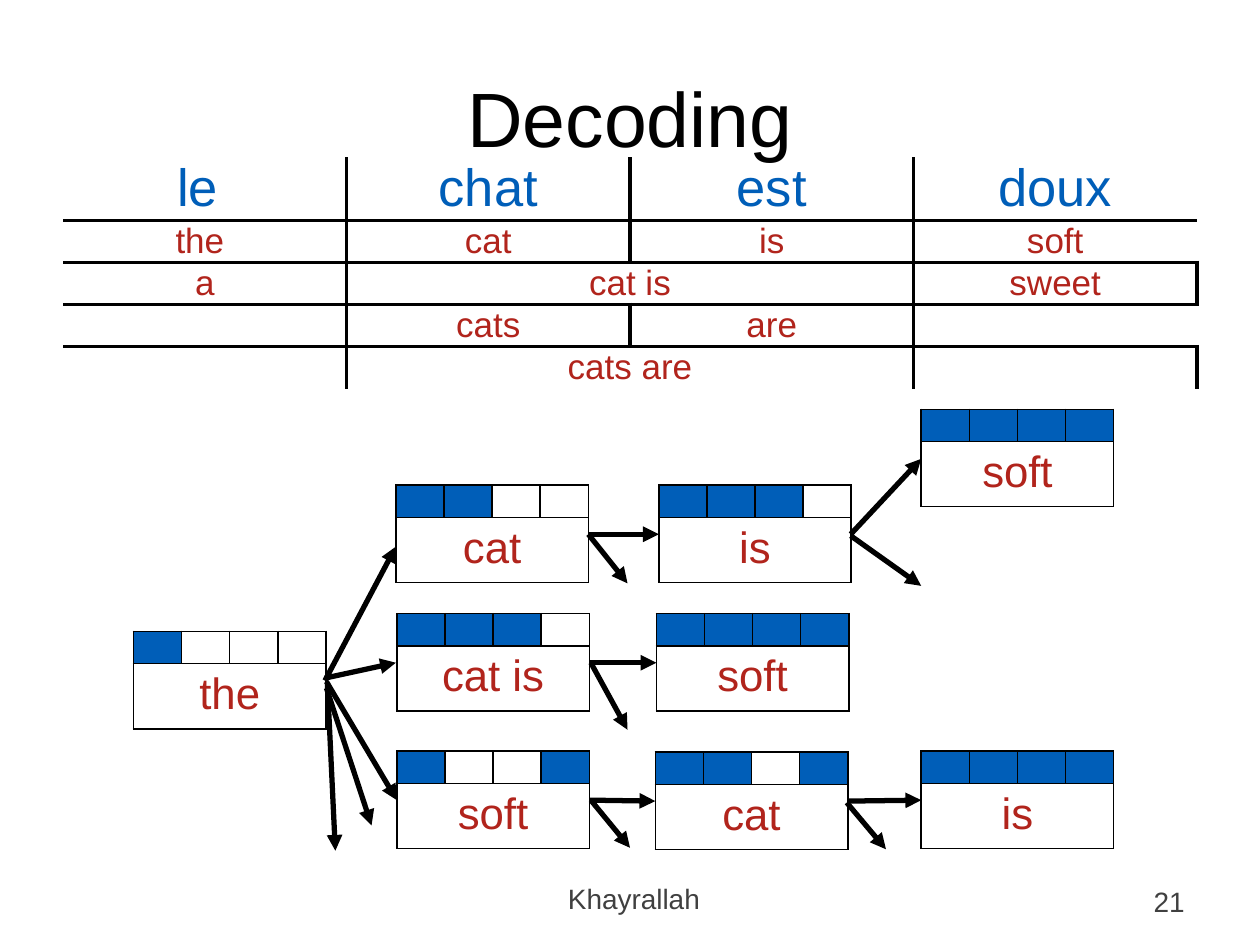
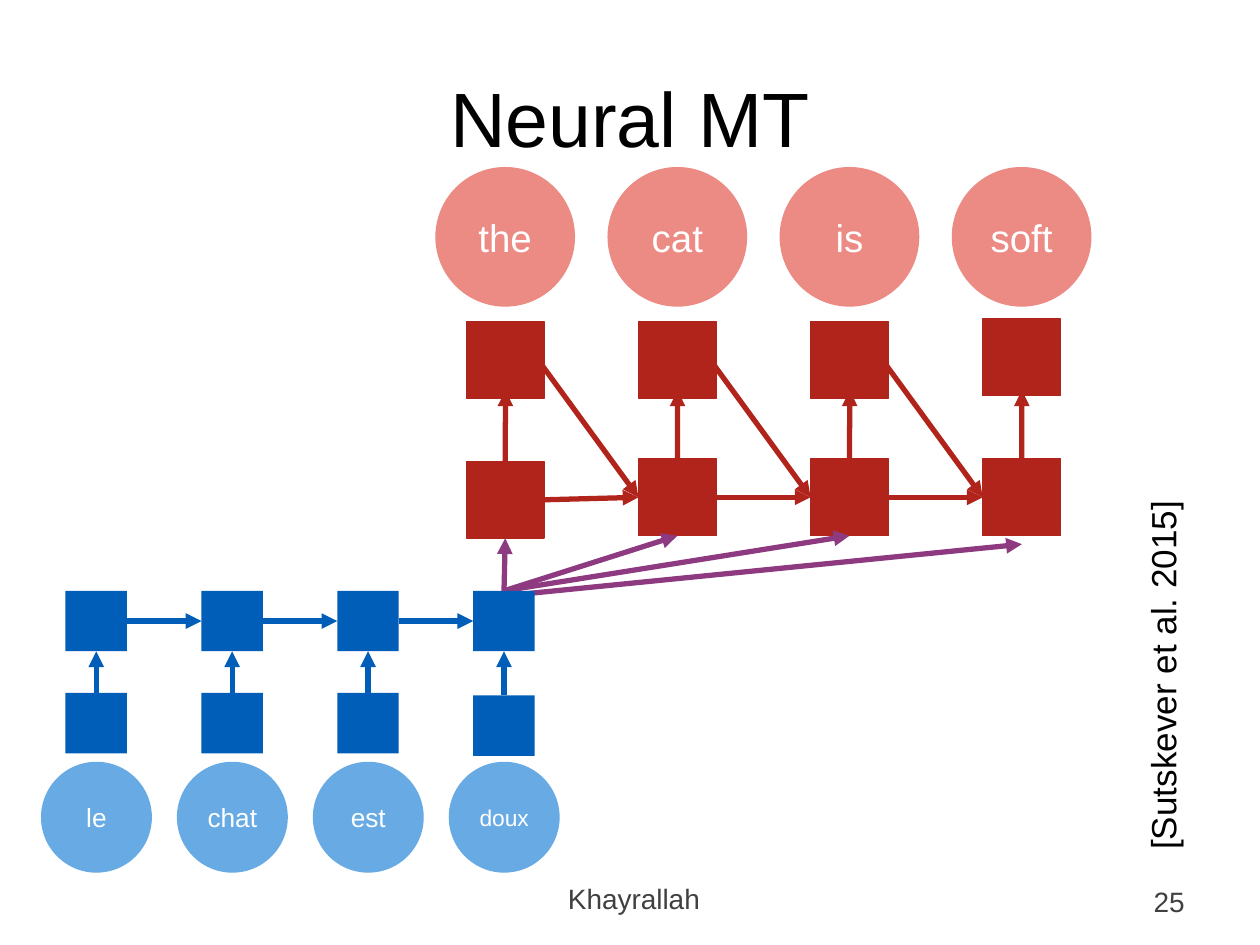
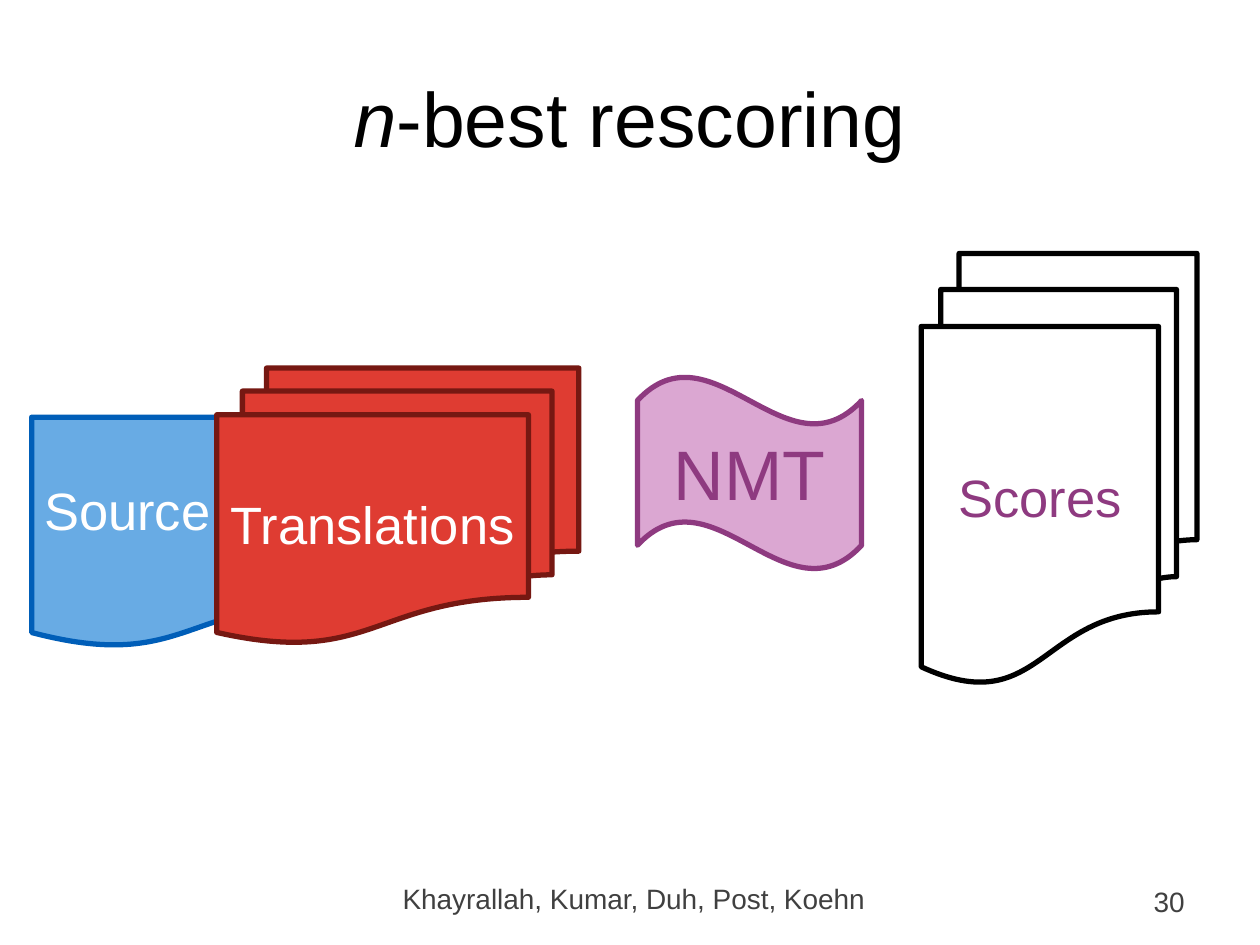
import lxml.etree
import pptx
import pptx.dml.color
import pptx.enum.shapes
import pptx.enum.text
import pptx.oxml.ns
import pptx.util

Cm = pptx.util.Cm
Pt = pptx.util.Pt
RGB = pptx.dml.color.RGBColor.from_string
SHAPE = pptx.enum.shapes.MSO_SHAPE
ALIGN = pptx.enum.text.PP_ALIGN
ANCHOR = pptx.enum.text.MSO_ANCHOR
qn = pptx.oxml.ns.qn

FONT = "Arial"
NO_GRID_STYLE = "{2D5ABB26-0587-4C30-8999-92F81FD0307C}"
COLORS = {
    "black": "000000",
    "white": "FFFFFF",
    "footer": "404040",
    "blue": "005EB8",
    "light blue": "68ABE4",
    "red": "B1241C",
    "light red": "EC8A84",
    "bright red": "DF3C32",
    "dark red": "761812",
    "purple": "8E3A80",
    "light purple": "DBA7D2",
}


def write_text(frame, text, size, color, align=ALIGN.CENTER, italic_lead=""):
    """Fill the frame with one paragraph, optionally opened by an italic run."""
    frame.word_wrap = True
    paragraph = frame.paragraphs[0]
    paragraph.text = italic_lead or text
    paragraph.alignment = align
    if italic_lead:
        paragraph.runs[0].font.italic = True
        paragraph.add_run().text = text
    for run in paragraph.runs:
        run.font.name = FONT
        run.font.size = Pt(size)
        run.font.color.rgb = RGB(COLORS[color])


def add_arrow(slide, color, start=(0, 0), end=(0, 0)):
    """Draw a straight arrow between two points given in centimetres."""
    arrow = slide.shapes.add_connector(
        pptx.enum.shapes.MSO_CONNECTOR.STRAIGHT, *map(Cm, start + end))
    arrow.line.color.rgb = RGB(COLORS[color])
    arrow.line.width = Pt(3)
    lxml.etree.SubElement(arrow.line._get_or_add_ln(), qn("a:tailEnd"), type="triangle")
    lxml.etree.SubElement(arrow._element.spPr, qn("a:effectLst"))
    return arrow


deck = pptx.Presentation()
deck.slide_width = Cm(25.4)
deck.slide_height = Cm(19.05)

# Titles, footers and slide numbers
for italic_lead, title, authors, number in [
    ("", "Decoding", "Khayrallah", "21"),
    ("", "Neural MT", "Khayrallah", "25"),
    ("n", "-best rescoring", "Khayrallah, Kumar, Duh, Post, Koehn", "30"),
]:
    slide = deck.slides.add_slide(deck.slide_layouts[6])
    heading = slide.shapes.add_textbox(Cm(1.27), Cm(0.76), Cm(22.86), Cm(3.18)).text_frame
    heading.vertical_anchor = ANCHOR.MIDDLE
    write_text(heading, title, 44, "black", italic_lead=italic_lead)
    footer = slide.shapes.add_textbox(Cm(7.14), Cm(17.65), Cm(11.28), Cm(1.02)).text_frame
    write_text(footer, authors, 16, "footer")
    page = slide.shapes.add_textbox(Cm(18.21), Cm(17.65), Cm(5.92), Cm(1.02)).text_frame
    page.vertical_anchor = ANCHOR.MIDDLE
    write_text(page, number, 16, "footer", ALIGN.RIGHT)

decoding, neural, rescoring = deck.slides

# Decoding: phrase options for each source word
phrase_options = [
    ["le ", "chat", "est", "doux"],
    ["the ", "cat", "is", "soft"],
    ["a", "cat is", "", "sweet"],
    ["", "cats", "are", ""],
    ["", "cats are", "", ""],
]
tables = []
borders = []
options = decoding.shapes.add_table(5, 4, Cm(1.27), Cm(3.17), Cm(22.86), Cm(3.8)).table
tables.append(options)
for row in (2, 4):
    options.cell(row, 1).merge(options.cell(row, 2))
for row, phrases in enumerate(phrase_options):
    options.rows[row].height = Cm(0.76)
    for column, phrase in enumerate(phrases):
        cell = options.cell(row, column)
        cell.margin_left = cell.margin_right = cell.margin_top = cell.margin_bottom = 0
        cell.vertical_anchor = ANCHOR.MIDDLE
        cell.fill.background()
        if phrase:
            write_text(cell.text_frame, phrase, *((20, "red") if row else (30, "blue")))
        outer_end = column in (0, 3)
        edges = ""
        if column > 0 and not cell.is_spanned:
            edges += "L"
        if column < 3:
            edges += "R"
        if row > 0 and not (outer_end and row == 4):
            edges += "T"
        if row < 4 and not (outer_end and row == 3):
            edges += "B"
        borders.append((cell, edges, 2.25))

# Decoding: hypotheses with the source words they cover
for left, top, phrase, coverage in [
    (2.69, 12.73, "the", "1000"),
    (7.98, 9.78, "cat", "1100"),
    (13.28, 9.78, "is", "1110"),
    (18.57, 8.25, "soft", "1111"),
    (8, 12.37, "cat is", "1110"),
    (13.23, 12.37, "soft", "1111"),
    (8, 15.14, "soft", "1001"),
    (13.21, 15.16, "cat", "1101"),
    (18.57, 15.14, "is", "1111"),
]:
    hypothesis = decoding.shapes.add_table(
        2, 4, Cm(left), Cm(top), Cm(3.88), Cm(1.9)).table
    tables.append(hypothesis)
    hypothesis.rows[0].height = Cm(0.65)
    hypothesis.rows[1].height = Cm(1.25)
    hypothesis.cell(1, 0).merge(hypothesis.cell(1, 3))
    for column, covered in enumerate(coverage):
        word_slot = hypothesis.cell(0, column)
        word_slot.margin_top = word_slot.margin_bottom = 0
        lxml.etree.SubElement(
            word_slot.text_frame.paragraphs[0]._p, qn("a:endParaRPr"), sz="800")
        if covered == "1":
            word_slot.fill.solid()
            word_slot.fill.fore_color.rgb = RGB(COLORS["blue"])
        else:
            word_slot.fill.background()
        borders.append((word_slot, "LRTB", 1))
    output = hypothesis.cell(1, 0)
    output.fill.background()
    write_text(output.text_frame, phrase, 25, "red")
    borders.append((output, "LRTB", 1))

for table in tables:
    table.first_row = table.horz_banding = False
    table._tbl.tblPr.find(qn("a:tableStyleId")).text = NO_GRID_STYLE
for cell, edges, width in borders:
    properties = cell._tc.get_or_add_tcPr()
    for position, edge in enumerate(edges):
        line = lxml.etree.Element(qn(f"a:ln{edge}"), w=str(int(Pt(width))))
        fill = lxml.etree.SubElement(line, qn("a:solidFill"))
        lxml.etree.SubElement(fill, qn("a:srgbClr"), val=COLORS["black"])
        properties.insert(position, line)

for start, end in [
    ((6.55, 13.72), (7.98, 11.02)),
    ((6.55, 13.67), (7.98, 13.36)),
    ((6.58, 13.74), (8, 16.13)),
    ((6.6, 13.77), (6.76, 17.15)),
    ((6.58, 13.87), (7.49, 16.64)),
    ((11.86, 10.77), (13.28, 10.77)),
    ((11.86, 10.77), (12.65, 11.76)),
    ((17.15, 10.77), (18.57, 9.25)),
    ((17.15, 10.8), (18.57, 11.81)),
    ((11.89, 13.36), (13.23, 13.36)),
    ((11.91, 13.36), (12.65, 14.71)),
    ((11.89, 16.13), (13.21, 16.15)),
    ((11.91, 16.13), (12.7, 17.09)),
    ((17.09, 16.15), (18.57, 16.13)),
    ((17.07, 16.18), (17.86, 17.12)),
]:
    add_arrow(decoding, "black", start, end)

# Neural MT: source and target words
for words, left, top, step, size, color in [
    ([("le", 15), ("chat", 15), ("est", 15), ("doux", 13)],
     0.84, 15.37, 2.74, 2.21, "light blue"),
    ([("the", 22), ("cat", 22), ("is", 22), ("soft", 22)],
     8.79, 3.38, 3.47, 2.79, "light red"),
]:
    for index, (word, font_size) in enumerate(words):
        circle = neural.shapes.add_shape(
            SHAPE.OVAL, Cm(left + index * step), Cm(top), Cm(size), Cm(size))
        circle.shadow.inherit = False
        circle.fill.solid()
        circle.fill.fore_color.rgb = RGB(COLORS[color])
        circle.line.color.rgb = RGB(COLORS[color])
        circle.line.width = Pt(0.75)
        circle.text_frame.margin_left = circle.text_frame.margin_right = 0
        write_text(circle.text_frame, word, font_size, "white")

# Neural MT: layers of the network; the encoder lies over the context arrows
layers = {}
context_arrows = []
for layer, left, tops, step, width, height, color in [
    ("decoder output", 9.4, [6.48, 6.48, 6.48, 6.43], 3.47, 1.57, 1.55, "red"),
    ("decoder state", 9.4, [9.3, 9.25, 9.25, 9.25], 3.47, 1.57, 1.55, "red"),
    ("embedding", 1.32, [13.97, 13.97, 13.97, 14.02], 2.74, 1.24, 1.22, "blue"),
    ("encoder state", 1.32, [11.91] * 4, 2.74, 1.24, 1.22, "blue"),
]:
    if layer == "embedding":
        for state in layers["decoder state"][:3]:
            arrow = add_arrow(neural, "purple")
            arrow.end_connect(state, 2)
            context_arrows.append(arrow)
        add_arrow(neural, "purple", (10.19, 12.01), (20.6, 10.97))
    layers[layer] = []
    for index, top in enumerate(tops):
        unit = neural.shapes.add_shape(
            SHAPE.RECTANGLE, Cm(left + index * step), Cm(top), Cm(width), Cm(height))
        unit.shadow.inherit = False
        unit.fill.solid()
        unit.fill.fore_color.rgb = RGB(COLORS[color])
        if color == "red":
            unit.line.color.rgb = RGB(COLORS[color])
            unit.line.width = Pt(0.75)
        else:
            unit.line.fill.background()
        layers[layer].append(unit)

for arrow in context_arrows:
    arrow.begin_connect(layers["encoder state"][-1], 0)
for color, states in [("blue", layers["encoder state"]), ("red", layers["decoder state"])]:
    for state, next_state in zip(states, states[1:]):
        arrow = add_arrow(neural, color)
        arrow.begin_connect(state, 3)
        arrow.end_connect(next_state, 1)
for embedding, state in zip(layers["embedding"], layers["encoder state"]):
    arrow = add_arrow(neural, "blue")
    arrow.begin_connect(embedding, 0)
    arrow.end_connect(state, 2)
for index, state in enumerate(layers["decoder state"]):
    output_left = 9.4 + index * 3.47
    arrow = add_arrow(neural, "red", end=(output_left + 0.79, 7.87))
    arrow.begin_connect(state, 0)
    if index < 3:
        feedback = add_arrow(neural, "red", start=(output_left + 1.32, 7.08))
        feedback.end_connect(layers["decoder state"][index + 1], 1)

citation = neural.shapes.add_textbox(Cm(16.23), Cm(8.59), Cm(14.4), Cm(3.18))
citation.rotation = 270
citation.text_frame.vertical_anchor = ANCHOR.MIDDLE
write_text(citation.text_frame, "[Sutskever et al. 2015]", 20, "black", ALIGN.LEFT)

# n-best rescoring: documents around the model
for kind, left, top, width, height, fill, outline, label, size, color, align in [
    (SHAPE.WAVE, 12.85, 7.59, 4.52, 3.89,
     "light purple", "purple", "NMT", 40, "purple", ALIGN.CENTER),
    (SHAPE.FLOWCHART_MULTIDOCUMENT, 18.57, 5.11, 5.56, 8.66,
     "white", "black", "Scores", 30, "purple", ALIGN.CENTER),
    (SHAPE.FLOWCHART_DOCUMENT, 0.64, 8.41, 6.15, 4.65,
     "light blue", "blue", "Source", 30, "white", ALIGN.LEFT),
    (SHAPE.FLOWCHART_MULTIDOCUMENT, 4.37, 7.42, 7.3, 5.54,
     "bright red", "dark red", "Translations", 30, "white", ALIGN.CENTER),
]:
    stage = rescoring.shapes.add_shape(kind, Cm(left), Cm(top), Cm(width), Cm(height))
    stage.shadow.inherit = False
    stage.fill.solid()
    stage.fill.fore_color.rgb = RGB(COLORS[fill])
    stage.line.color.rgb = RGB(COLORS[outline])
    stage.line.width = Pt(3)
    write_text(stage.text_frame, label, size, color, align)

deck.save("out.pptx")
